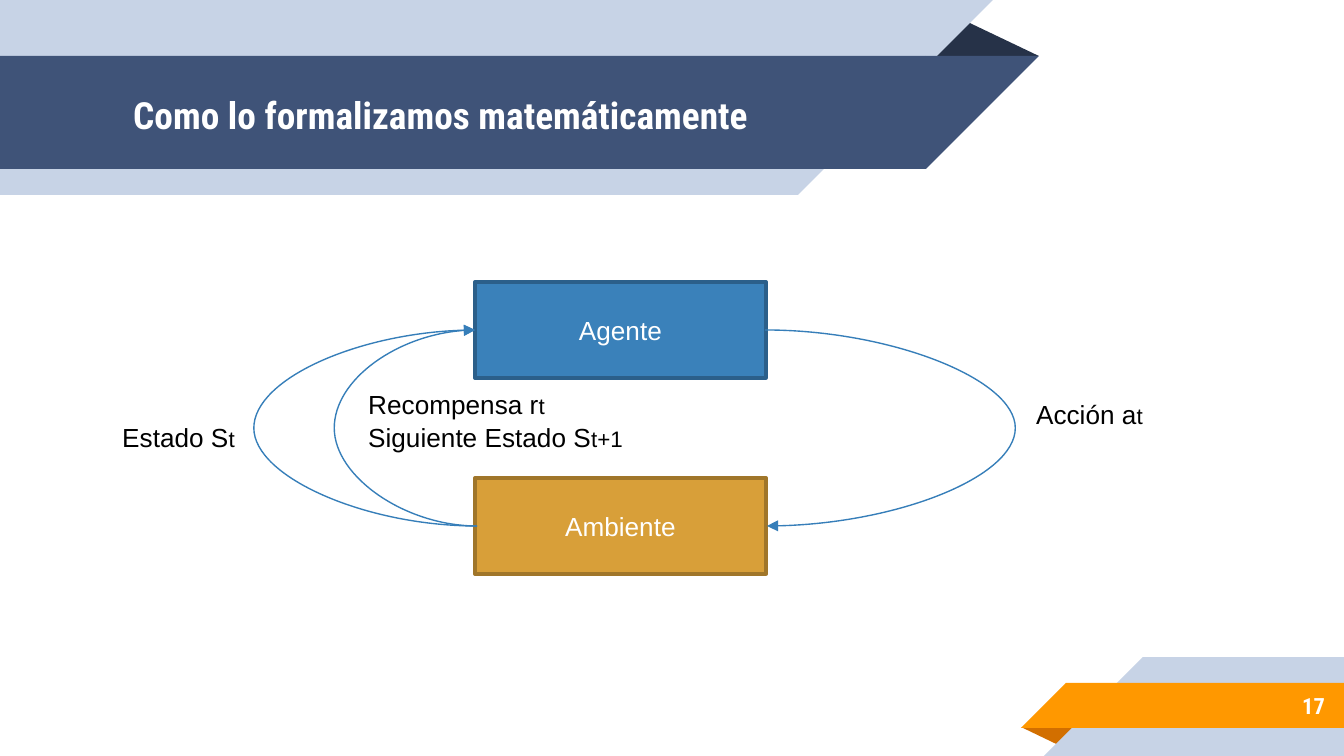
from lxml import etree
from pptx import Presentation
from pptx.dml.color import RGBColor
from pptx.enum.shapes import MSO_CONNECTOR as Connector, MSO_SHAPE as Shape
from pptx.enum.text import MSO_ANCHOR as Anchor, PP_ALIGN as Align
from pptx.oxml.ns import qn
from pptx.util import Pt

EMU_PER_PX = 914400 / 134.4


def px(length):
    return round(length * EMU_PER_PX)


def color(hex_string):
    return RGBColor.from_string(hex_string)


class SlideBuilder:
    heading_font = "Roboto Condensed"
    body_font = "Arial"
    white, black = "FFFFFF", "000000"
    pale, navy, orange = "C7D3E6", "3F5378", "FF9800"
    arrow_color = "367EB9"

    def __init__(self, slide):
        self.slide = slide

    def shape(self, kind, x, y, width, height, fill, flip=None):
        shape = self.slide.shapes.add_shape(kind, px(x), px(y), px(width), px(height))
        shape.shadow.inherit = False
        shape.fill.solid()
        shape.fill.fore_color.rgb = color(fill)
        shape.line.fill.background()
        if flip:
            shape._element.spPr.get_or_add_xfrm().set(flip, "1")
        return shape

    def fold(self, x, y, width, height, fill, rotation=0):
        triangle = self.shape(Shape.ISOSCELES_TRIANGLE, x, y, width, height, fill)
        triangle.adjustments[0] = 0.32
        triangle.rotation = rotation

    def left_band(self, y, width, height, fill):
        """Band from the left edge, with a slanted right end."""
        self.shape(Shape.RECTANGLE, 0, y, width, height, fill)
        self.shape(Shape.RIGHT_TRIANGLE, width, y, height, height, fill, "flipV")

    def right_band(self, x, y, height, fill):
        """Band to the right edge, with a slanted left end."""
        self.shape(Shape.RECTANGLE, x, y, 1344 - x, height, fill)
        self.shape(Shape.RIGHT_TRIANGLE, x - height, y, height, height, fill, "flipH")

    def heading(self, text, x, y, width, height, size, align=Align.LEFT):
        box = self.slide.shapes.add_textbox(px(x), px(y), px(width), px(height))
        frame = box.text_frame
        frame.word_wrap = True
        frame.vertical_anchor = Anchor.MIDDLE
        frame.margin_top = frame.margin_bottom = px(13)
        paragraph = frame.paragraphs[0]
        paragraph.text = text
        paragraph.alignment = align
        self.style(paragraph.font, self.heading_font, size, self.white)
        paragraph.font.bold = True

    def node(self, text, y, fill, border):
        box = self.shape(Shape.RECTANGLE, 475, y, 291, 96, fill)
        box.line.color.rgb = color(border)
        box.line.width = Pt(2)
        box.text_frame.vertical_anchor = Anchor.MIDDLE
        paragraph = box.text_frame.paragraphs[0]
        paragraph.text = text
        paragraph.alignment = Align.CENTER
        self.style(paragraph.font, self.body_font, 14, self.white)

    def label(self, text, index, x, y, width):
        box = self.slide.shapes.add_textbox(px(x), px(y), px(width), px(46))
        box.text_frame.word_wrap = False
        paragraph = box.text_frame.paragraphs[0]
        for part, size in ((text, 14), (index, 12)):
            run = paragraph.add_run()
            run.text = part
            self.style(run.font, self.body_font, size, self.black)

    def loop_arrow(self, x, reach, upward=False):
        """Curve between the node centres that bulges sideways by reach."""
        width = 2
        arrow = self.slide.shapes.add_connector(
            Connector.CURVE, px(x), px(330), px(x + width), px(526))
        arrow.line.color.rgb = color(self.arrow_color)
        arrow.line.width = Pt(0.75)
        properties = arrow._element.spPr
        if upward:
            properties.get_or_add_xfrm().set("rot", "10800000")
        values = properties.find(qn("a:prstGeom")).get_or_add_avLst()
        etree.SubElement(values, qn("a:gd"), name="adj1",
                         fmla=f"val {round(reach / width * 100000)}")
        line = properties.find(qn("a:ln"))
        etree.SubElement(line, qn("a:tailEnd"), type="triangle")
        etree.SubElement(properties, qn("a:effectLst"))

    @staticmethod
    def style(font, name, size, font_color):
        font.name = name
        font.size = Pt(size)
        font.color.rgb = color(font_color)


def main():
    presentation = Presentation()
    presentation.slide_width, presentation.slide_height = px(1344), px(756)
    slide = presentation.slides.add_slide(presentation.slide_layouts[6])
    builder = SlideBuilder(slide)

    builder.fold(925, 19, 114, 37, "263248")
    builder.left_band(0, 798, 195, builder.pale)
    builder.left_band(56, 926, 113, builder.navy)
    builder.fold(1021, 727, 58, 19, "D26F00", rotation=180)
    builder.right_band(1143, 657, 99, builder.pale)
    builder.right_band(1066, 683, 45, builder.orange)

    builder.heading("Como lo formalizamos matemáticamente", 120, 58, 808, 113, 20)
    builder.heading("17", 1119, 682, 219, 47, 12, Align.RIGHT)

    builder.node("Agente", 282, "3A81BA", "2B5F8A")
    builder.node("Ambiente", 478, "D89F39", "A0762A")

    builder.loop_arrow(475, 222, upward=True)
    builder.loop_arrow(475, 142, upward=True)
    builder.loop_arrow(765, 249)

    for label in (
        ("Estado S", "t", 109, 415, 141),
        ("Acción a", "t", 1023, 392, 134),
        ("Recompensa r", "t", 355, 382, 204),
        ("Siguiente Estado S", "t+1", 355, 415, 284),
    ):
        builder.label(*label)

    presentation.save("out.pptx")


if __name__ == "__main__":
    main()
